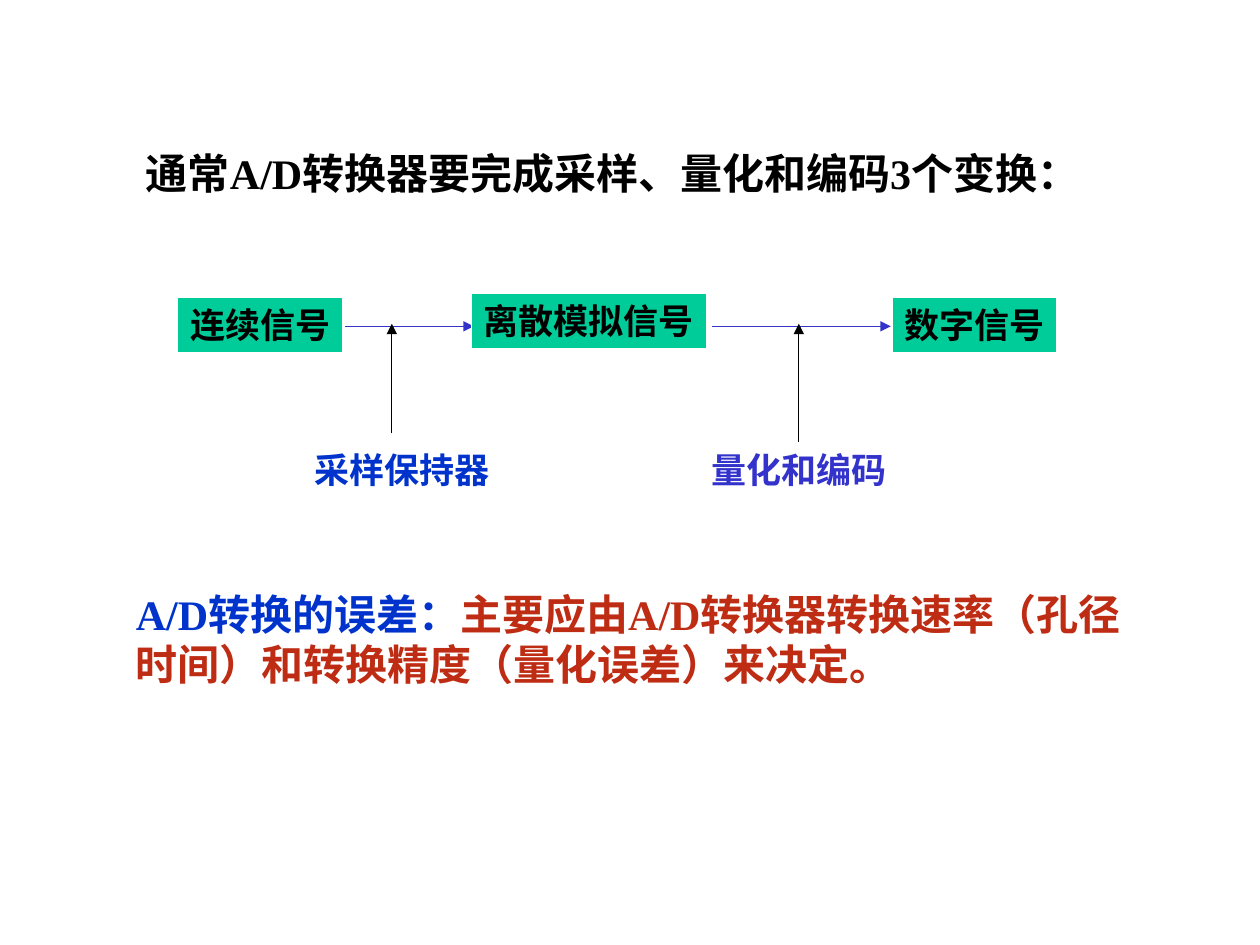
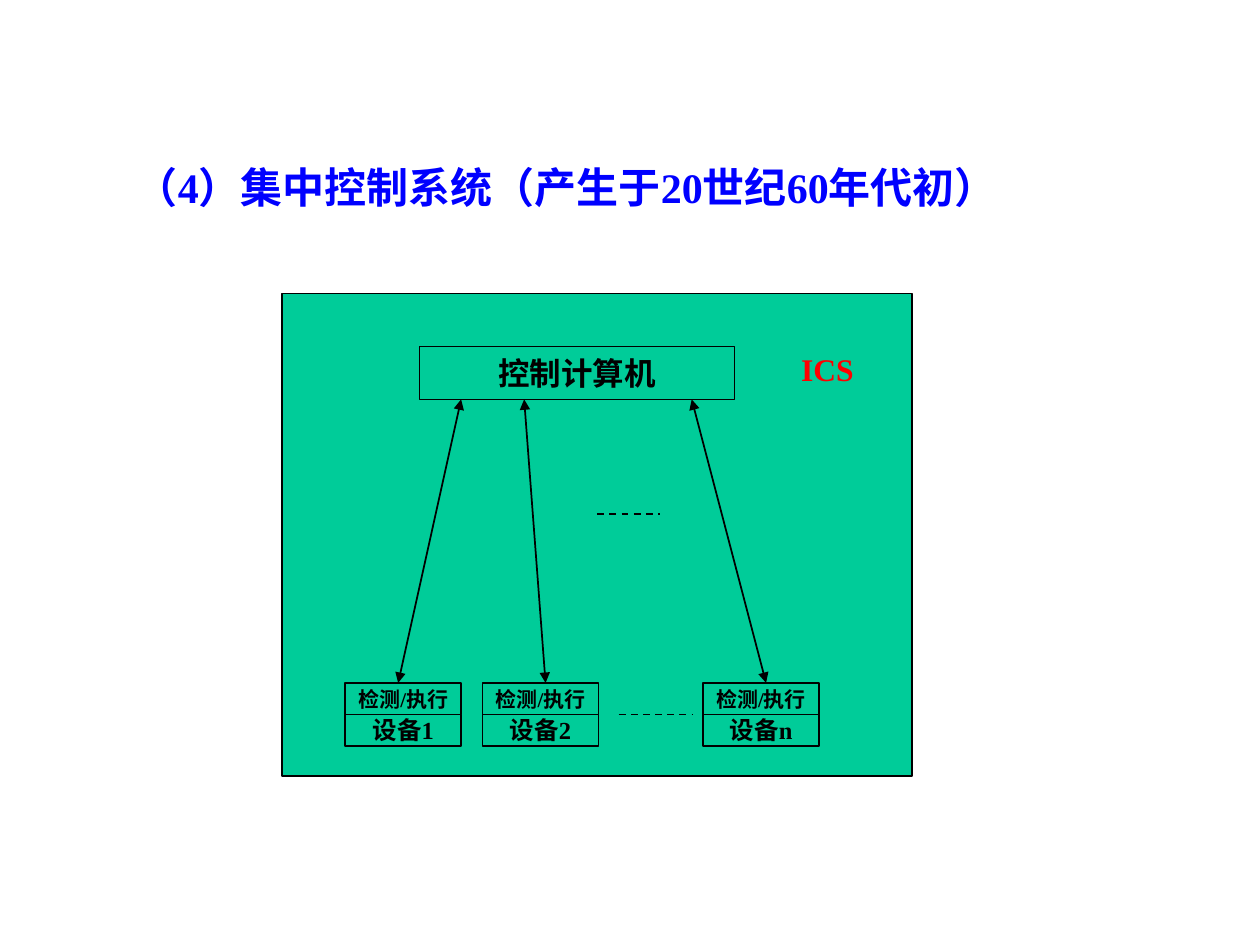
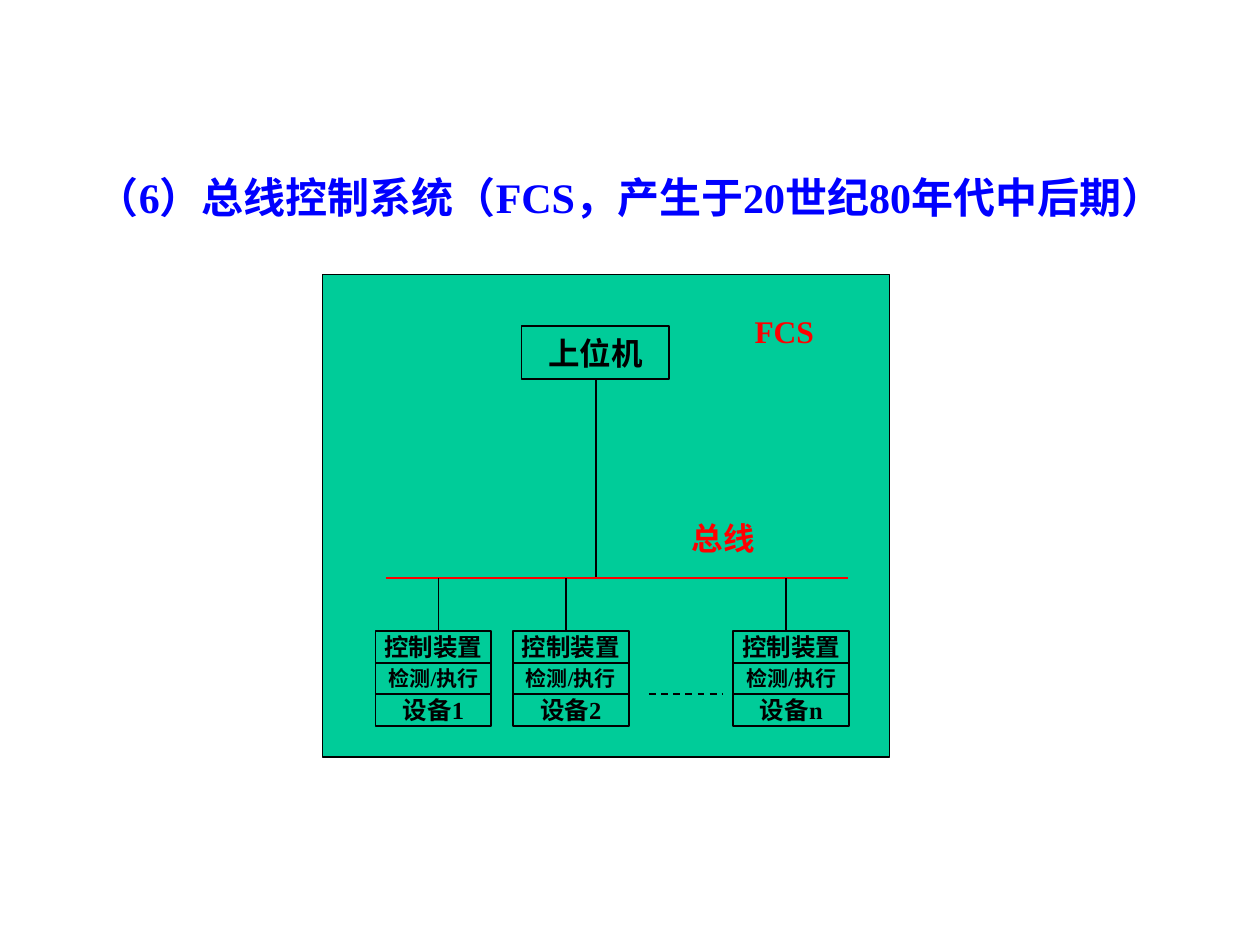
from lxml import etree
from pptx import Presentation
from pptx.dml.color import RGBColor
from pptx.enum import dml, shapes, text
from pptx.oxml import ns
from pptx.util import Inches, Pt

FONT = "Times New Roman"
BLACK, WHITE, RED, BLUE = "000000", "FFFFFF", "FF0000", "0000FF"
GREEN, INDIGO, ROYAL, BRICK = "00CC99", "3333CC", "0033CC", "BE2C14"

LAYER_W, LAYER_H = 0.92, 0.25
DEVICE_NAMES = ["设备1", "设备2", "设备n"]
DEVICE_OFFSETS = [0, 1.09, 2.84]


def rgb(color):
    return RGBColor.from_string(color)


def write(shape, content, size=18, color=BLACK, align=text.PP_ALIGN.LEFT,
          anchor=text.MSO_ANCHOR.TOP, wrap=False, grow=True):
    """Fill a shape with a string, or with a list of (string, colour) runs."""
    frame = shape.text_frame
    frame.word_wrap = wrap
    frame.vertical_anchor = anchor
    frame.auto_size = (text.MSO_AUTO_SIZE.SHAPE_TO_FIT_TEXT if grow
                       else text.MSO_AUTO_SIZE.NONE)
    paragraph = frame.paragraphs[0]
    paragraph.alignment = align
    runs = [(content, color)] if isinstance(content, str) else content
    for words, run_color in runs:
        run = paragraph.add_run()
        run.text = words
        run.font.name = FONT
        run.font.size = Pt(size)
        run.font.bold = True
        run.font.color.rgb = rgb(run_color)


def label(slide, box, content, **style):
    write(slide.shapes.add_textbox(*map(Inches, box)), content, **style)


def title(slide, box, content):
    label(slide, box, content, size=24, color=BLUE, wrap=True,
          anchor=text.MSO_ANCHOR.MIDDLE)


def block(slide, box, border=BLACK, weight=1):
    shape = slide.shapes.add_shape(shapes.MSO_SHAPE.RECTANGLE, *map(Inches, box))
    shape.shadow.inherit = False
    shape.fill.solid()
    shape.fill.fore_color.rgb = rgb(GREEN)
    shape.line.color.rgb = rgb(border)
    shape.line.width = Pt(weight)
    return shape


def centred_block(slide, box, content, size=18):
    write(block(slide, box), content, size=size, align=text.PP_ALIGN.CENTER,
          anchor=text.MSO_ANCHOR.MIDDLE, grow=False)


def line(slide, start, end, color=BLACK, weight=1, dashed=False, arrows=()):
    """Draw a line; arrows names the ends ("headEnd", "tailEnd") with a tip."""
    connector = slide.shapes.add_connector(
        shapes.MSO_CONNECTOR.STRAIGHT, *map(Inches, (*start, *end)))
    connector.line.color.rgb = rgb(color)
    connector.line.width = Pt(weight)
    if dashed:
        connector.line.dash_style = dml.MSO_LINE.DASH
    properties = connector._element.spPr
    outline = properties.find(ns.qn("a:ln"))
    for arrow in arrows:
        etree.SubElement(outline, ns.qn("a:" + arrow), type="triangle")
    etree.SubElement(properties, ns.qn("a:effectLst"))


def signal_chain(slide, left, top):
    arrow = {"weight": 0.75, "arrows": ["tailEnd"]}
    axis = top + 0.26
    for start, end in [(1.33, 2.35), (4.24, 5.66)]:
        line(slide, (left + start, axis), (left + end, axis), color=INDIGO, **arrow)
    for x, y, width, signal in [(0, 0.03, 1.31, "连续信号"),
                                (2.33, 0, 1.87, "离散模拟信号"),
                                (5.67, 0.03, 1.31, "数字信号")]:
        stage = block(slide, (left + x, top + y, width, 0.44), WHITE, 0.75)
        write(stage, signal, size=20)
    for x, step, color, pointer_x, pointer_y in [
            (0.99, "采样保持器", ROYAL, 1.7, 1.11),
            (4.14, "量化和编码", INDIGO, 4.93, 1.18)]:
        label(slide, (left + x, top + 1.18, 1.59, 0.44), step, size=20, color=color)
        line(slide, (left + pointer_x, top + pointer_y),
             (left + pointer_x, axis - 0.02), **arrow)


def device_row(slide, left, bottom, layers):
    """Stack (name, size) layers on each device; the row ends at bottom."""
    for offset, device in zip(DEVICE_OFFSETS, DEVICE_NAMES):
        stack = [(device, 14), *layers]
        for level, (name, size) in enumerate(stack, start=1):
            centred_block(slide, (left + offset, bottom - level * LAYER_H,
                                  LAYER_W, LAYER_H), name, size)
    middle = bottom - LAYER_H
    line(slide, (left + 2.17, middle), (left + 2.75, middle), dashed=True)


def central_system(slide, left, top, width, height):
    block(slide, (left, top, width, height))
    row_left, row_bottom = left + 0.5, top + 3.59
    device_row(slide, row_left, row_bottom, [("检测/执行", 12)])
    row_top = row_bottom - 2 * LAYER_H
    for offset, port, inset in zip(DEVICE_OFFSETS, [1.42, 1.92, 3.25],
                                   [0.42, 0.5, 0.5]):
        line(slide, (row_left + offset + inset, row_top),
             (left + port, top + 0.84), arrows=["headEnd", "tailEnd"])
    line(slide, (left + 2.5, top + 1.75), (left + 3, top + 1.75), dashed=True)
    centred_block(slide, (left + 1.09, top + 0.42, 2.5, 0.42), "控制计算机")
    label(slide, (left + 4.02, top + 0.4, 0.65, 0.4), "ICS", color=RED)


def bus_system(slide, left, top, width, height):
    block(slide, (left, top, width, height))
    row_left, row_bottom = left + 0.42, top + 3.58
    device_row(slide, row_left, row_bottom, [("检测/执行", 12), ("控制装置", 14)])
    row_top, bus = row_bottom - 3 * LAYER_H, top + 2.41
    centred_block(slide, (left + 1.58, top + 0.41, 1.17, 0.42), "上位机")
    line(slide, (left + 2.17, top + 0.83), (left + 2.17, bus))
    line(slide, (left + 0.5, bus), (left + 4.17, bus), color=RED)
    for offset, inset in zip(DEVICE_OFFSETS, [0.5, 0.42, 0.42]):
        x = row_left + offset + inset
        line(slide, (x, bus), (x, row_top))
    label(slide, (left + 3.33, top + 0.25, 0.67, 0.4), "FCS", color=RED)
    label(slide, (left + 2.83, top + 1.89, 0.7, 0.4), "总线", color=RED)


def main():
    deck = Presentation()
    deck.slide_width, deck.slide_height = Inches(10), Inches(7.5)
    conversion, central, fieldbus = (
        deck.slides.add_slide(deck.slide_layouts[6]) for _ in range(3))

    label(conversion, (1.06, 1.12, 7.98, 0.5),
          "通常A/D转换器要完成采样、量化和编码3个变换：", size=24, wrap=True)
    signal_chain(conversion, 1.41, 2.33)
    label(conversion, (0.98, 4.62, 8.05, 0.9),
          [("A/D转换的误差：", ROYAL),
           ("主要应由A/D转换器转换速率（孔径时间）和转换精度（量化误差）来决定。", BRICK)],
          size=24, wrap=True)

    title(central, (0.98, 1.23, 8.03, 0.5), "（4）集中控制系统（产生于20世纪60年代初）")
    central_system(central, 2.24, 2.33, 5, 3.83)

    title(fieldbus, (0.67, 1.31, 9.33, 0.5),
          "（6）总线控制系统（FCS，产生于20世纪80年代中后期）")
    bus_system(fieldbus, 2.56, 2.18, 4.5, 3.83)

    deck.save("out.pptx")


if __name__ == "__main__":
    main()
